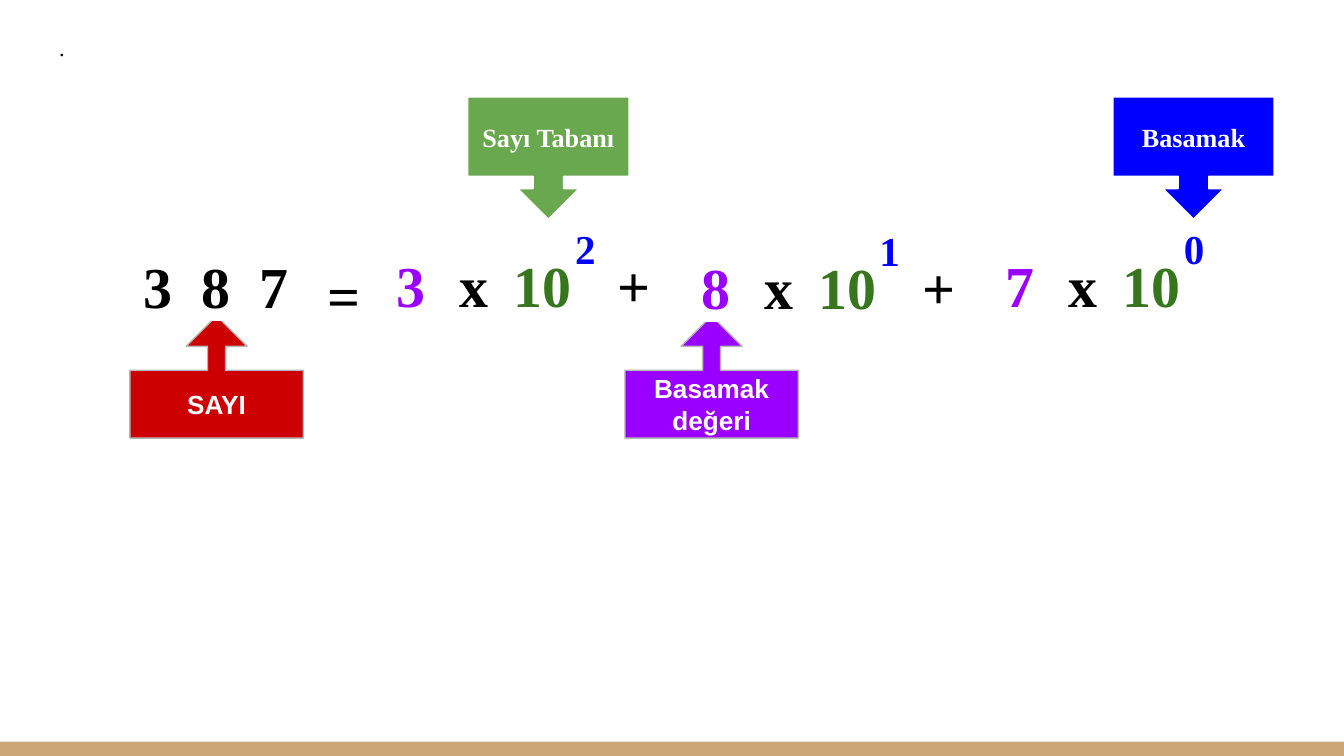
from lxml import etree
from pptx import Presentation
from pptx.dml.color import RGBColor
from pptx.enum.shapes import MSO_SHAPE
from pptx.enum.text import MSO_ANCHOR, PP_ALIGN
from pptx.oxml.ns import qn
from pptx.util import Pt

RECTANGLE = MSO_SHAPE.RECTANGLE
UP = MSO_SHAPE.UP_ARROW_CALLOUT
DOWN = MSO_SHAPE.DOWN_ARROW_CALLOUT
LEFT, CENTER = PP_ALIGN.LEFT, PP_ALIGN.CENTER
MIDDLE, TOP, BOTTOM = MSO_ANCHOR.MIDDLE, MSO_ANCHOR.TOP, MSO_ANCHOR.BOTTOM
SERIF, SANS = "Times New Roman", "Arial"
BLACK, WHITE, GRAY, TAN = "000000", "FFFFFF", "B7B7B7", "CCA677"
RED, PURPLE, BLUE = "CC0000", "9900FF", "0000FF"
BASE_GREEN, CALLOUT_GREEN = "38761D", "6AA84F"
INSET = 7.2
TERM_LEFT, TERM_PITCH = 193, 163.1


def rgb(color):
    """Turn a hex string into a colour."""
    return RGBColor.from_string(color)


def place(shape, left, top, width, height):
    """Set a shape's position and size in points."""
    shape.left, shape.top = Pt(left), Pt(top)
    shape.width, shape.height = Pt(width), Pt(height)


def highlight(run):
    """Put a white highlight behind a run."""
    mark = etree.SubElement(run.font._element, qn("a:highlight"))
    etree.SubElement(mark, qn("a:srgbClr"), val=WHITE)


def write(shape, text, size, color, font=SERIF, bold=True, align=CENTER, anchor=MIDDLE):
    """Fill a shape with one formatted paragraph and return its run."""
    frame = shape.text_frame
    frame.word_wrap = True
    frame.vertical_anchor = anchor
    frame.margin_left = frame.margin_right = Pt(INSET)
    frame.margin_top = frame.margin_bottom = Pt(INSET)
    paragraph = frame.paragraphs[0]
    paragraph.alignment = align
    paragraph.font.name = font
    paragraph.font.size = Pt(size)
    paragraph.font.bold = bold
    paragraph.font.color.rgb = rgb(color)
    run = paragraph.add_run()
    run.text = text
    return run


def add_title(slide):
    """Place the small title at the top left."""
    title = slide.shapes.title
    place(title, 24.5, 25.2, 671, 65.5)
    highlight(write(title, ".", 12, BLACK, bold=False, align=LEFT, anchor=BOTTOM))
    title.text_frame.margin_top = 0
    title.text_frame.margin_bottom = Pt(58)


def add_filled(slide, kind, box, fill):
    """Add a filled preset shape without line or shadow."""
    shape = slide.shapes.add_shape(kind, *map(Pt, box))
    shape.shadow.inherit = False
    shape.fill.solid()
    shape.fill.fore_color.rgb = rgb(fill)
    shape.line.fill.background()
    return shape


def add_callout(slide, kind, left, label, fill):
    """Add a labelled arrow callout above or below the equation."""
    if kind == UP:
        top, width, stem, body, line, font = 169.2, 92.9, 0.148, 0.555, GRAY, SANS
    else:
        top, width, stem, body, line, font = 51.9, 86.4, 0.25, 0.65, WHITE, SERIF
    callout = add_filled(slide, kind, (left, top, width, 65.5), fill)
    for index, value in enumerate((stem, 0.25, 0.25, body)):
        callout.adjustments[index] = value
    callout.line.color.rgb = rgb(line)
    callout.line.width = Pt(0.75)
    write(callout, label, 14, WHITE, font)


def add_symbol(slide, text, left, top, color=BLACK, align=CENTER, width=54.7, size=31):
    """Add one piece of the equation and return its run."""
    symbol = slide.shapes.add_textbox(Pt(left), Pt(top), Pt(width), Pt(42.5))
    run = write(symbol, text, size, color, align=align, anchor=TOP)
    symbol.text_frame.paragraphs[0].line_spacing = 1.15
    return run


def add_term(slide, index, digit, power, top):
    """Add one digit times its power of ten."""
    left = TERM_LEFT + index * TERM_PITCH
    highlight(add_symbol(slide, digit, left, top, PURPLE))
    highlight(add_symbol(slide, "x", left + 33.6, top))
    highlight(add_symbol(slide, "10", left + 75.3, top, BASE_GREEN, LEFT))
    if power != "0":
        highlight(add_symbol(slide, "+", left + 131, top, align=LEFT))
    add_symbol(slide, power, left + 108, top - 12.3, BLUE, LEFT, 36, 22)


def main():
    """Build the place value slide."""
    deck = Presentation()
    deck.slide_width, deck.slide_height = Pt(720), Pt(405)
    slide = deck.slides.add_slide(deck.slide_layouts[5])
    add_filled(slide, RECTANGLE, (0, 397.4, 720, 7.6), TAN)
    add_title(slide)

    add_callout(slide, UP, 69.6, "SAYI", RED)
    add_callout(slide, DOWN, 250.6, "Sayı Tabanı", CALLOUT_GREEN)
    add_callout(slide, UP, 334.8, "Basamak değeri", PURPLE)

    number = add_symbol(slide, "3 8 7", 64.2, 121.5, width=103)
    number.font._element.set("spc", "388")
    highlight(number)
    highlight(add_symbol(slide, "=", 157, 126.6))
    terms = (("3", "2", 121), ("8", "1", 122), ("7", "0", 121))
    for index, (digit, power, top) in enumerate(terms):
        add_term(slide, index, digit, power, top)

    add_callout(slide, DOWN, 596.2, "Basamak", BLUE)
    deck.save("out.pptx")


if __name__ == "__main__":
    main()
